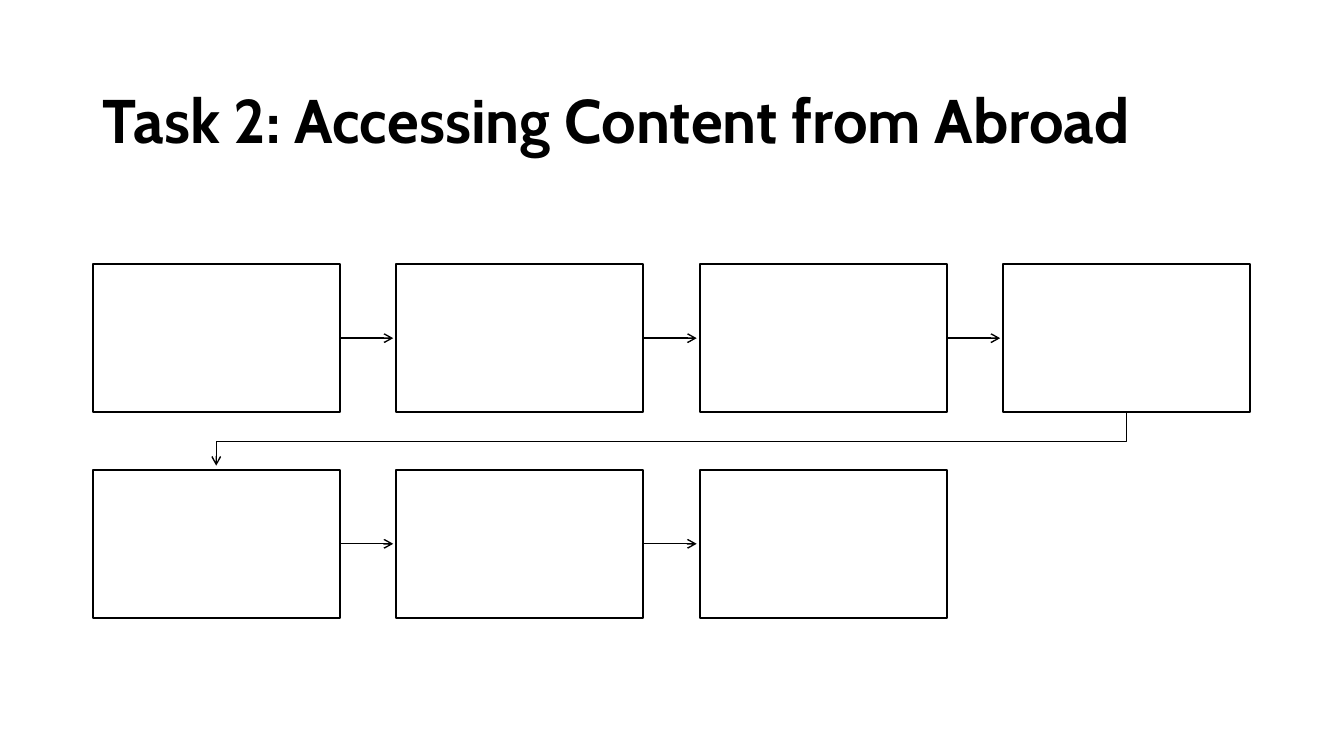
from lxml import etree
from pptx import Presentation
from pptx.dml.color import RGBColor
from pptx.enum.shapes import MSO_CONNECTOR, MSO_SHAPE
from pptx.enum.text import MSO_ANCHOR
from pptx.oxml.ns import qn
from pptx.util import Inches, Pt

BLACK = RGBColor(0x00, 0x00, 0x00)
WHITE = RGBColor(0xFF, 0xFF, 0xFF)
RECTANGLE = MSO_SHAPE.RECTANGLE
STRAIGHT = MSO_CONNECTOR.STRAIGHT
MIDDLE = MSO_ANCHOR.MIDDLE
RIGHT_SIDE = 3

# Flow grid, in inches
LEFT, TOP = 0.92, 2.62
BOX_WIDTH, BOX_HEIGHT = 2.45, 1.47
COLUMN_STEP, ROW_STEP = 3.01, 2.04
ROW_LENGTHS = (4, 3)
ARROW_LENGTH = 0.53
TURN_DROP = 0.29


class FlowSlide:
    """Draws the elements of one slide in a shared style."""

    font_name = "Cabin"

    def __init__(self, presentation):
        self.slide = presentation.slides.add_slide(presentation.slide_layouts[6])
        self.shapes = self.slide.shapes

    def title(self, text, left, top, width, height):
        box = self.shapes.add_textbox(
            Inches(left), Inches(top), Inches(width), Inches(height))
        frame = box.text_frame
        frame.word_wrap = True
        frame.vertical_anchor = MIDDLE
        paragraph = frame.paragraphs[0]
        paragraph.line_spacing = 0.9
        run = paragraph.add_run()
        run.text = text
        run.font.name = self.font_name
        run.font.size = Pt(44)
        run.font.bold = True
        run.font.color.rgb = BLACK

    def box(self, left, top):
        shape = self.shapes.add_shape(
            RECTANGLE, Inches(left), Inches(top),
            Inches(BOX_WIDTH), Inches(BOX_HEIGHT))
        shape.shadow.inherit = False
        shape.fill.solid()
        shape.fill.fore_color.rgb = WHITE
        shape.line.color.rgb = BLACK
        shape.line.width = Pt(1.5)
        return shape

    def style_arrow(self, shape):
        shape.line.color.rgb = BLACK
        shape.line.width = Pt(1)
        properties = shape._element.spPr
        etree.SubElement(properties.find(qn("a:ln")), qn("a:tailEnd"), type="arrow")
        etree.SubElement(properties, qn("a:effectLst"))

    def arrow_from(self, box):
        start = box.left + box.width
        middle = box.top + box.height // 2
        connector = self.shapes.add_connector(
            STRAIGHT, start, middle, start + Inches(ARROW_LENGTH), middle)
        connector.begin_connect(box, RIGHT_SIDE)
        self.style_arrow(connector)

    def row_turn(self, last_box, next_box):
        """Bent arrow from the end of one row to the start of the next."""
        start_x = last_box.left + last_box.width // 2
        end_x = next_box.left + next_box.width // 2
        start_y = last_box.top + last_box.height
        turn_y = start_y + Inches(TURN_DROP)
        builder = self.shapes.build_freeform(start_x, start_y)
        builder.add_line_segments(
            [(start_x, turn_y), (end_x, turn_y),
             (end_x, start_y + Inches(ARROW_LENGTH))], close=False)
        shape = builder.convert_to_shape()
        shape.fill.background()
        self.style_arrow(shape)


def main():
    presentation = Presentation()
    presentation.slide_width = Inches(13.33)
    presentation.slide_height = Inches(7.5)
    flow = FlowSlide(presentation)

    # Title
    flow.title("Task 2: Accessing Content from Abroad", 0.92, 0.61, 11.5, 1.24)

    # Empty steps, row by row
    rows = [
        [flow.box(LEFT + column * COLUMN_STEP, TOP + row * ROW_STEP)
         for column in range(length)]
        for row, length in enumerate(ROW_LENGTHS)
    ]

    # Arrows within the rows and between them
    for boxes in rows:
        for box in boxes[:-1]:
            flow.arrow_from(box)
    for upper, lower in zip(rows, rows[1:]):
        flow.row_turn(upper[-1], lower[0])

    presentation.save("out.pptx")


if __name__ == "__main__":
    main()
